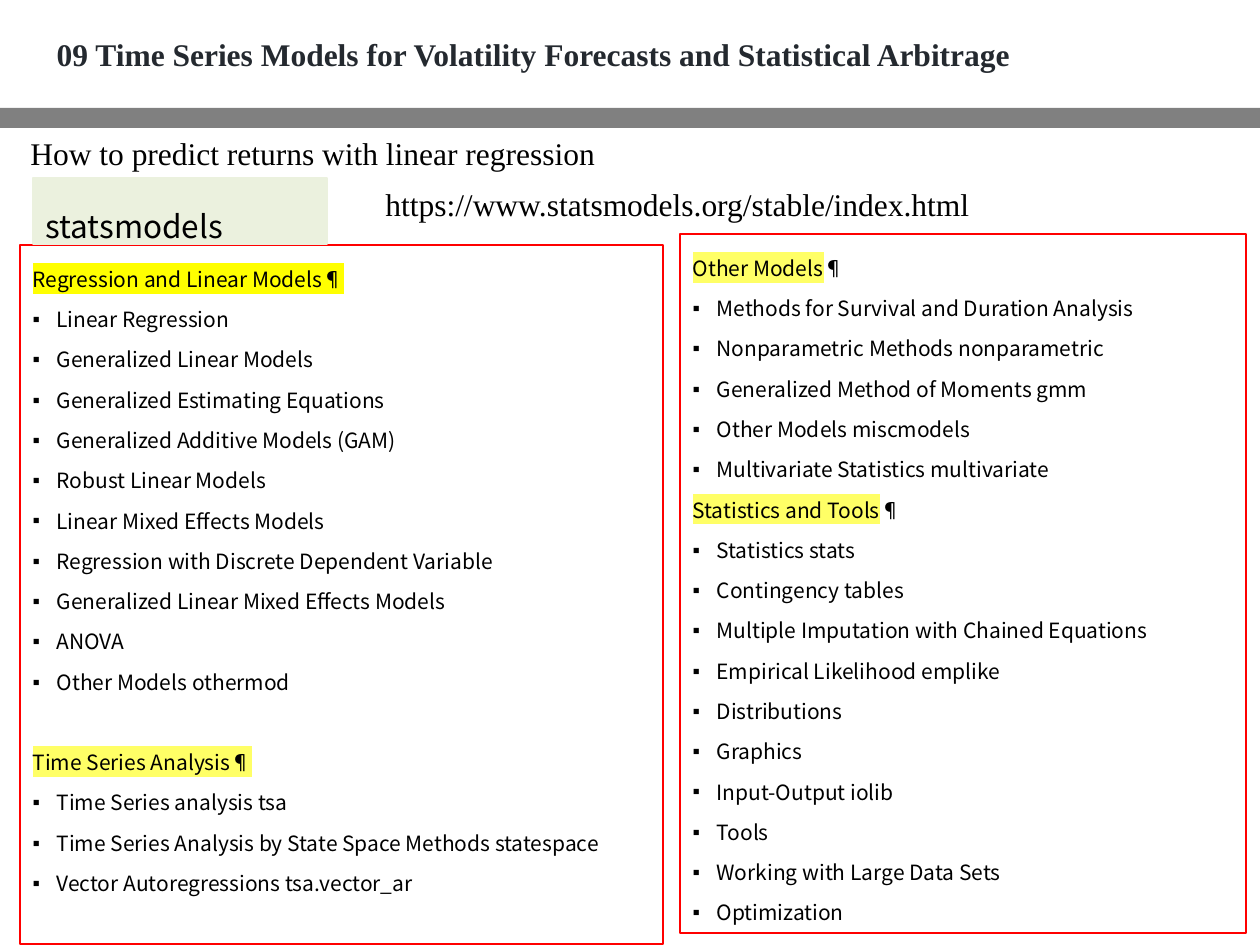
"""Build the slide that lists the statsmodels topics for time series models."""
from lxml import etree
from pptx import Presentation
from pptx import util as u
from pptx.dml.color import RGBColor
from pptx.enum import shapes, text
from pptx.oxml import ns

PX = u.Inches(1) / 126
COLORS = {"bar": "808080", "green": "EBF1DE", "red": "FF0000", "black": "000000",
          "title": "24292F", "yellow": "FFFF00", "pale": "FFFF66"}
SERIF, SANS = "Times New Roman", "Noto Sans CJK KR"
LIST_FORMAT = {"alignment": text.PP_ALIGN.JUSTIFY, "line_spacing": 1.6, "space_before": u.Pt(0)}


def place(box, left, top, width, height, wrap=True):
    box.left, box.top, box.width, box.height = (round(n * PX) for n in (left, top, width, height))
    frame_format = {"word_wrap": wrap, "vertical_anchor": text.MSO_ANCHOR.TOP,
                    "auto_size": text.MSO_AUTO_SIZE.NONE}
    for name, value in frame_format.items():
        setattr(box.text_frame, name, value)


def write(para, words, font, size, color="black", bold=False, highlight=None):
    span = para.add_run()
    span.text = words
    for name, value in {"name": font, "size": u.Pt(size), "bold": bold}.items():
        setattr(span.font, name, value)
    span.font.color.rgb = RGBColor.from_string(COLORS[color])
    if highlight:
        mark = etree.Element(ns.qn("a:highlight"))
        etree.SubElement(mark, ns.qn("a:srgbClr"), val=COLORS[highlight])
        span.font._element.find(ns.qn("a:solidFill")).addnext(mark)


deck = Presentation()
deck.slide_width, deck.slide_height = u.Inches(10), u.Inches(7.5)
page = deck.slides.add_slide(deck.slide_layouts.get_by_name("Two Content"))
title, left_list, right_list = page.placeholders

place(title, 44, 29, 1032, 50)
title_para = title.text_frame.paragraphs[0]
title_para.alignment = text.PP_ALIGN.LEFT
write(title_para, "09 Time Series Models for Volatility Forecasts and Statistical Arbitrage",
      SERIF, 18, "title", bold=True)

blocks = [("bar", (0, 108, 1260, 20)), ("green", (33, 178, 294, 66))]
for color, bounds in blocks:
    block = page.shapes.add_shape(shapes.MSO_SHAPE.RECTANGLE, 0, 0, 0, 0)
    place(block, *bounds)
    block.shadow.inherit = False
    block.fill.solid()
    block.fill.fore_color.rgb = RGBColor.from_string(COLORS[color])
    block.line.fill.background()
    if color == "green":
        block.line.color.rgb = RGBColor.from_string(COLORS[color])
        block.line.width = u.Pt(0.75)
        label = block.text_frame.paragraphs[0]
        for name, value in LIST_FORMAT.items():
            setattr(label, name, value)
        write(label, "statsmodels", SANS, 18)

captions = [("How to predict returns with linear regression", (18, 128, 606, 50)),
            ("https://www.statsmodels.org/stable/index.html", (373, 179, 616, 50))]
for words, bounds in captions:
    caption = page.shapes.add_textbox(0, 0, 0, 0)
    place(caption, *bounds, wrap=False)
    write(caption.text_frame.paragraphs[0], words, SERIF, 18)

regression = ["Linear Regression", "Generalized Linear Models", "Generalized Estimating Equations",
              "Generalized Additive Models (GAM)", "Robust Linear Models",
              "Linear Mixed Effects Models", "Regression with Discrete Dependent Variable",
              "Generalized Linear Mixed Effects Models", "ANOVA", "Other Models othermod"]
time_series = ["Time Series analysis tsa", "Time Series Analysis by State Space Methods statespace",
               "Vector Autoregressions tsa.vector_ar"]
other_models = ["Methods for Survival and Duration Analysis", "Nonparametric Methods nonparametric",
                "Generalized Method of Moments gmm", "Other Models miscmodels",
                "Multivariate Statistics multivariate"]
tools = ["Statistics stats", "Contingency tables", "Multiple Imputation with Chained Equations",
         "Empirical Likelihood emplike", "Distributions", "Graphics", "Input-Output iolib", "Tools",
         "Working with Large Data Sets", "Optimization"]
panels = [
    (left_list, (20, 245, 643, 699), 23,
     [("Regression and Linear Models", "yellow", "yellow", regression),
      ("Time Series Analysis", "pale", "pale", time_series)]),
    (right_list, (680, 234, 566, 699), 0,
     [("Other Models", "pale", None, other_models),
      ("Statistics and Tools", "pale", None, tools)]),
]
for panel, bounds, gap, sections in panels:
    place(panel, *bounds)
    panel.line.color.rgb = RGBColor.from_string(COLORS["red"])
    panel.line.width = u.Pt(0.75)
    frame = panel.text_frame
    for number, (heading, mark, sign_mark, topics) in enumerate(sections):
        for row, words in enumerate([heading] + topics):
            para = frame.add_paragraph() if number or row else frame.paragraphs[0]
            for name, value in LIST_FORMAT.items():
                setattr(para, name, value)
            props = para._p.get_or_add_pPr()
            indent = round(24 * PX) if row else 0
            props.set("marL", str(indent))
            props.set("indent", str(-indent))
            if row:
                etree.SubElement(props, ns.qn("a:buFont"), typeface="Arial")
                etree.SubElement(props, ns.qn("a:buChar"), char="▪")
                write(para, words, SANS, 12)
            else:
                para.space_before = u.Pt(gap if number else 0)
                etree.SubElement(props, ns.qn("a:buNone"))
                write(para, words, SANS, 12, highlight=mark)
                write(para, "¶", SANS, 12, highlight=sign_mark)

deck.save("out.pptx")
